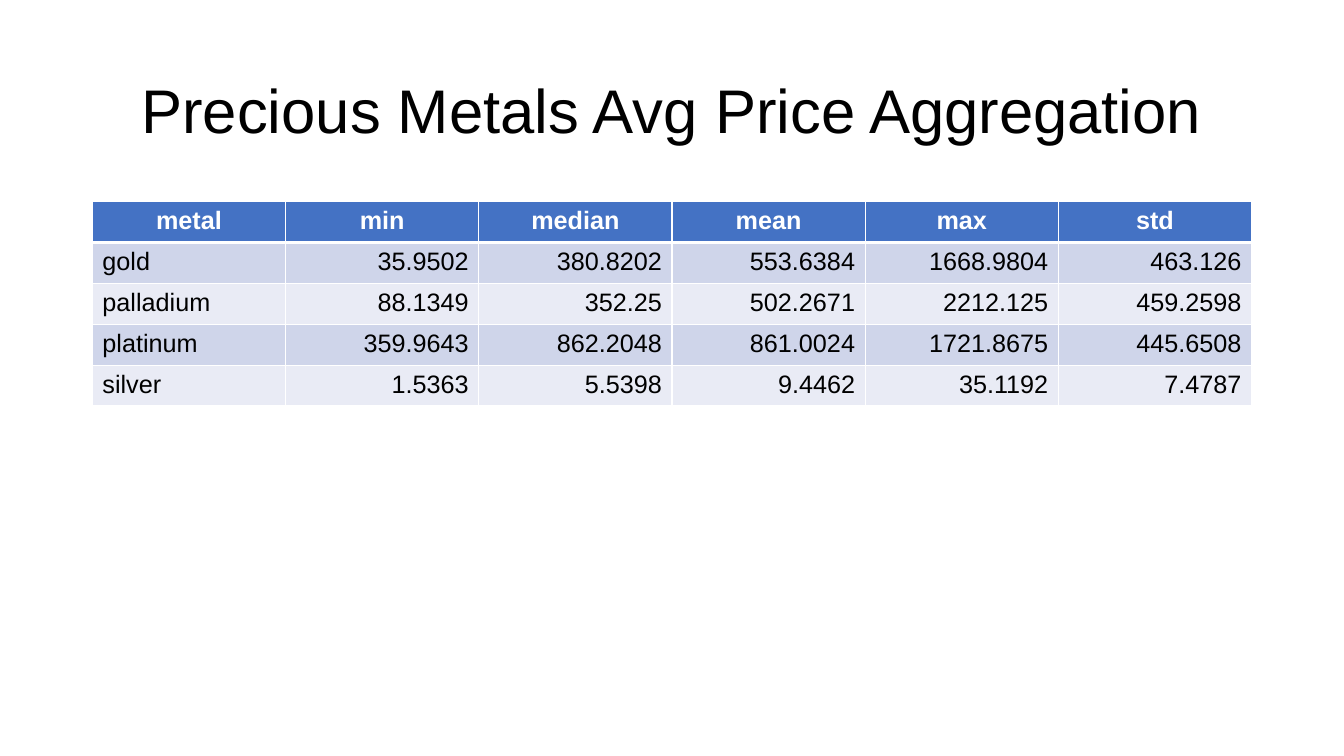
"""Build the slide of aggregated precious metal prices."""
from lxml import etree
from pptx import Presentation
from pptx import util as u
from pptx.dml.color import RGBColor
from pptx.enum import text
from pptx.oxml.ns import qn

COLORS = {
    "title": "000000",
    "body": "000000",
    "header_text": "FFFFFF",
    "header": "4472C4",
    "odd_row": "CFD5EA",
    "even_row": "E9EBF5",
    "border": "FFFFFF",
}
FONT = "Arial"
LEFT, WIDTH = 66, 828
TABLE_TOP, ROW_HEIGHT = 144, 29.2
PRICES = [
    ("metal", "min", "median", "mean", "max", "std"),
    ("gold", "35.9502", "380.8202", "553.6384", "1668.9804", "463.126"),
    ("palladium", "88.1349", "352.25", "502.2671", "2212.125", "459.2598"),
    ("platinum", "359.9643", "862.2048", "861.0024", "1721.8675", "445.6508"),
    ("silver", "1.5363", "5.5398", "9.4462", "35.1192", "7.4787"),
]


def style_paragraph(para, size, color, align, bold=False):
    """Align a paragraph and format its runs."""
    para.alignment = align
    for span in para.runs:
        span.font.name = FONT
        span.font.size = u.Pt(size)
        span.font.bold = bold
        span.font.color.rgb = RGBColor.from_string(COLORS[color])


def add_title(page, wording):
    """Add the centred slide title."""
    box = page.shapes.add_textbox(u.Pt(LEFT), u.Pt(28.75), u.Pt(WIDTH), u.Pt(104.4))
    frame = box.text_frame
    frame.word_wrap = True
    frame.vertical_anchor = text.MSO_ANCHOR.MIDDLE
    frame.text = wording
    para = frame.paragraphs[0]
    para.line_spacing = 0.9
    style_paragraph(para, 44, "title", text.PP_ALIGN.CENTER)


def add_borders(cell, widths):
    """Draw the cell borders, given a width in points for each side."""
    properties = cell._tc.get_or_add_tcPr()
    for side, width in widths.items():
        line = etree.SubElement(properties, qn(f"a:ln{side}"), w=str(u.Pt(width)))
        fill = etree.SubElement(line, qn("a:solidFill"))
        etree.SubElement(fill, qn("a:srgbClr"), val=COLORS["border"])


def style_cell(cell, row, column):
    """Format a cell by its place in the table."""
    is_header = row == 0
    if is_header:
        fill, align = "header", text.PP_ALIGN.CENTER
    else:
        fill = "odd_row" if row % 2 else "even_row"
        align = text.PP_ALIGN.RIGHT if column else text.PP_ALIGN.LEFT
    color = "header_text" if is_header else "body"
    style_paragraph(cell.text_frame.paragraphs[0], 18, color, align, is_header)
    add_borders(cell, {"L": 1, "R": 1, "T": 3 if row == 1 else 1, "B": 3 if is_header else 1})
    cell.fill.solid()
    cell.fill.fore_color.rgb = RGBColor.from_string(COLORS[fill])


def add_price_table(page, records):
    """Add the price table with equal columns and rows."""
    row_count, column_count = len(records), len(records[0])
    table = page.shapes.add_table(
        row_count, column_count, u.Pt(LEFT), u.Pt(TABLE_TOP),
        u.Pt(WIDTH), u.Pt(ROW_HEIGHT * row_count),
    ).table
    for row, record in enumerate(records):
        for column, value in enumerate(record):
            cell = table.cell(row, column)
            cell.text_frame.text = value
            style_cell(cell, row, column)


def main():
    """Create and save the deck."""
    deck = Presentation()
    deck.slide_width, deck.slide_height = u.Pt(960), u.Pt(540)
    page = deck.slides.add_slide(deck.slide_layouts[6])
    add_title(page, "Precious Metals Avg Price Aggregation")
    add_price_table(page, PRICES)
    deck.save("out.pptx")


main()
